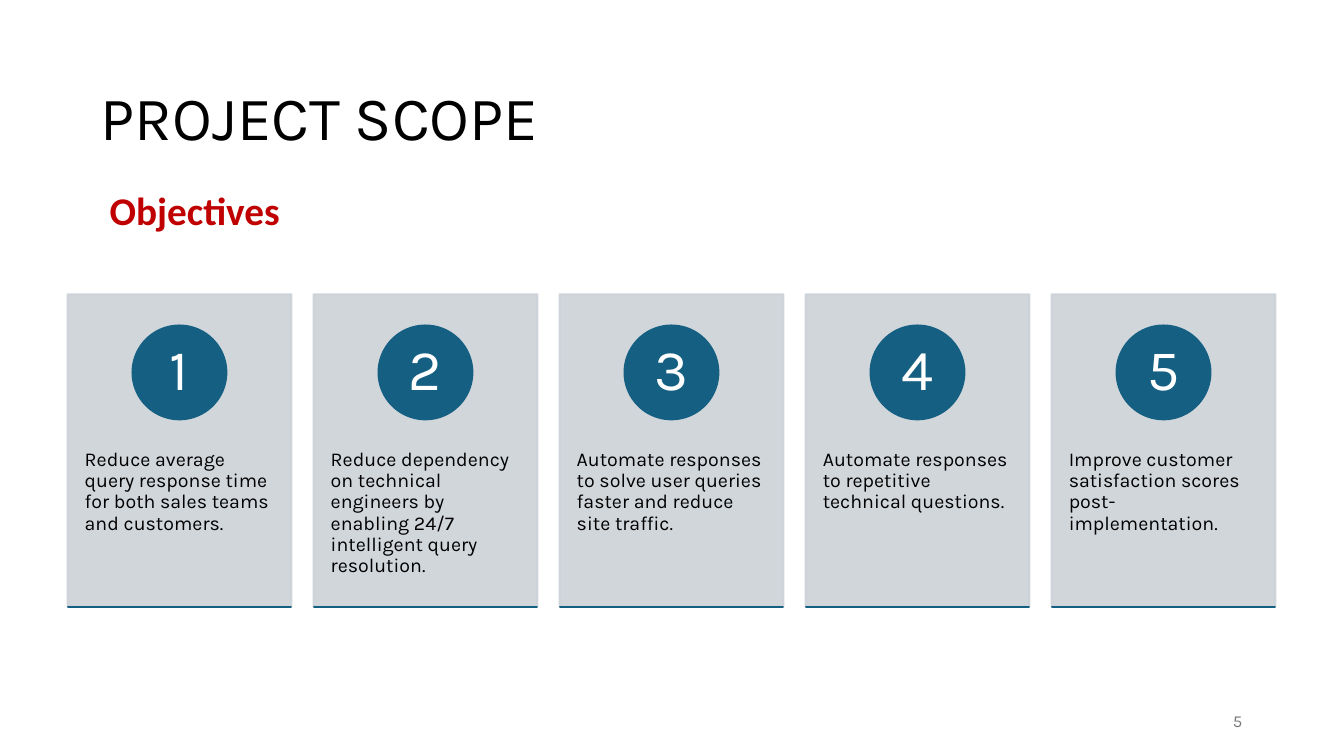
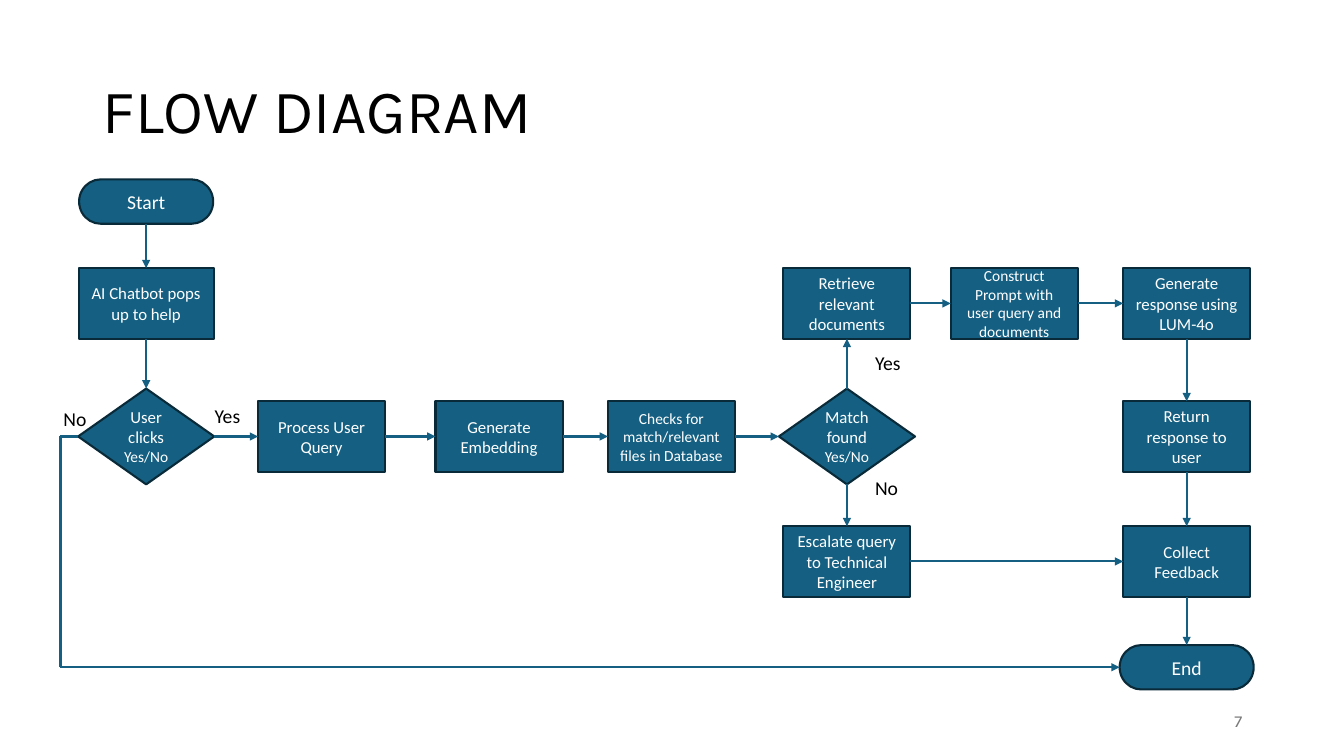
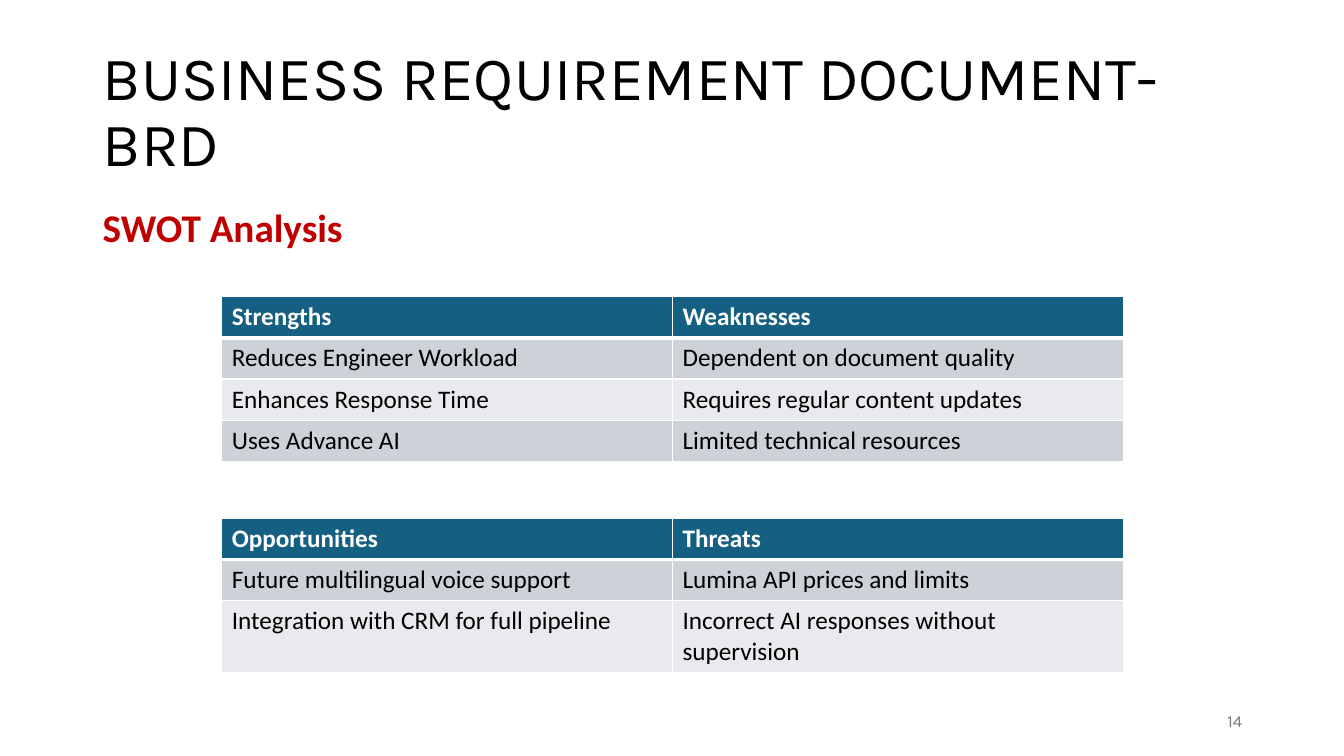
from lxml import etree
from pptx import Presentation
from pptx.dml.color import RGBColor
from pptx.enum.shapes import MSO_CONNECTOR, MSO_SHAPE
from pptx.enum.text import MSO_ANCHOR, MSO_AUTO_SIZE, PP_ALIGN
from pptx.oxml.ns import qn
from pptx.util import Inches, Pt

STRAIGHT = MSO_CONNECTOR.STRAIGHT
RECT, OVAL = MSO_SHAPE.RECTANGLE, MSO_SHAPE.OVAL
STEP = MSO_SHAPE.FLOWCHART_PROCESS
CHOICE = MSO_SHAPE.FLOWCHART_DECISION
TERM = MSO_SHAPE.FLOWCHART_TERMINATOR
TOP, MID = MSO_ANCHOR.TOP, MSO_ANCHOR.MIDDLE
LEFT, MIDST, RIGHT = PP_ALIGN.LEFT, PP_ALIGN.CENTER, PP_ALIGN.RIGHT

HEAD, BODY = "Karla", "Calibri"
BLUE, NAVY, RED, GREY = "156082", "092A39", "C00000", "797979"
MIST, PALE, WHITE, BLACK = "CCD2D8", "E8EAED", "FFFFFF", "000000"
WIDE, HIGH = 13.33, 7.5
rgb = RGBColor.from_string


def write(frame, lines, size, font=BODY, color=BLACK, bold=False,
          align=LEFT, anchor=TOP, lead=None):
    """Fill a text frame; each line is a string or a (string, size) pair."""
    frame.word_wrap = True
    frame.auto_size = MSO_AUTO_SIZE.NONE
    frame.vertical_anchor = anchor
    for i, line in enumerate(lines):
        text, points = line if isinstance(line, tuple) else (line, size)
        para = frame.paragraphs[0] if i == 0 else frame.add_paragraph()
        para.text = text
        para.alignment = align
        para.line_spacing = lead
        para.font.name = font
        para.font.size = Pt(points)
        para.font.bold = bold
        para.font.color.rgb = rgb(color)


def block(slide, kind, box, fill, edge):
    """Add a filled, outlined shape; box is left, top, width, height."""
    shape = slide.shapes.add_shape(kind, *map(Inches, box))
    shape.shadow.inherit = False
    shape.fill.solid()
    shape.fill.fore_color.rgb = rgb(fill)
    shape.line.color.rgb = rgb(edge)
    shape.line.width = Pt(1.5)
    return shape


deck = Presentation()
deck.slide_width, deck.slide_height = Inches(WIDE), Inches(HIGH)

# Shared title, red heading and page number
MAIN = (0.92, 0.4, 11.5, 1.45)
pages = [
    ("PROJECT SCOPE", (0.9, 0.82, 11.97, 1.24), TOP, "5",
     "Objectives", (0.99, 1.8)),
    ("FLOW DIAGRAM", MAIN, MID, "7", None, None),
    ("BUSINESS REQUIREMENT DOCUMENT-BRD", MAIN, MID, "14",
     "SWOT Analysis", (0.92, 1.97)),
]
slides = []
for name, box, anchor, page, topic, spot in pages:
    slide = deck.slides.add_slide(deck.slide_layouts[5])
    title = slide.shapes.title
    title.left, title.top, title.width, title.height = map(Inches, box)
    write(title.text_frame, [name], 44, HEAD, anchor=anchor, lead=0.9)
    if topic:
        label = slide.shapes.add_textbox(*map(Inches, (*spot, 4, 0.57)))
        write(label.text_frame, [topic], 28, color=RED, bold=True)
    foot = slide.shapes.add_textbox(*map(Inches, (9.42, 6.95, 3, 0.4)))
    write(foot.text_frame, [page], 12, HEAD, GREY, align=RIGHT, anchor=MID)
    slides.append(slide)
scope, flow, swot = slides

# Scope: five numbered cards
goals = [
    "Reduce average query response time for both sales teams and customers.",
    "Reduce dependency on technical engineers by enabling 24/7 intelligent "
    "query resolution.",
    "Automate responses to solve user queries faster and reduce site traffic.",
    "Automate responses to repetitive technical questions.",
    "Improve customer satisfaction scores post-implementation.",
]
CARD, TALL, PITCH, DISC = 2.22, 3.1, 2.44, 0.93
for i, goal in enumerate(goals):
    x, y = 0.67 + i * PITCH, 2.92
    card = block(scope, RECT, (x, y, CARD, TALL), MIST, MIST)
    for tint in card._element.spPr.iter(qn("a:srgbClr")):
        etree.SubElement(tint, qn("a:alpha"), val="90000")
    frame = card.text_frame
    frame.margin_left = frame.margin_right = Inches(0.17)
    frame.margin_top = Inches(1.54)
    write(frame, [goal], 14, HEAD, lead=0.9)
    disc = block(scope, OVAL, (x + (CARD - DISC) / 2, y + 0.31, DISC, DISC),
                 BLUE, BLUE)
    frame = disc.text_frame
    frame.margin_left = frame.margin_right = 0
    frame.margin_top = frame.margin_bottom = 0
    write(frame, [str(i + 1)], 41, HEAD, WHITE, align=MIDST, anchor=MID,
          lead=0.9)
    block(scope, RECT, (x, y + TALL, CARD, 0), BLUE, BLUE)

# Flow: nodes centred on a grid of columns and rows
cols = [1.45, 3.19, 4.95, 6.66, 8.4, 10.06, 11.77]
rows = [2, 3.01, 4.33, 5.57, 6.62]
sizes = {STEP: (1.26, 0.7), CHOICE: (1.35, 0.95), TERM: (1.33, 0.44)}
wider = {"chat": 1.34}
steps = [
    ("start", TERM, 0, 0, ["Start"], 14),
    ("chat", STEP, 0, 1, ["AI Chatbot pops up to help"], 12),
    ("click", CHOICE, 0, 2, ["User clicks", ("Yes/No", 11)], 12),
    ("query", STEP, 1, 2, ["Process User Query"], 12),
    ("embed", STEP, 2, 2, ["Generate Embedding"], 12),
    ("check", STEP, 3, 2, ["Checks for match/relevant files in Database"], 11),
    ("match", CHOICE, 4, 2, ["Match found", ("Yes/No", 11)], 12),
    ("fetch", STEP, 4, 1, ["Retrieve relevant documents"], 12),
    ("prompt", STEP, 5, 1,
     ["Construct Prompt with user query and documents"], 11),
    ("reply", STEP, 6, 1, ["Generate response using LUM-4o"], 12),
    ("send", STEP, 6, 2, ["Return response to user"], 12),
    ("staff", STEP, 4, 3, ["Escalate query to Technical Engineer"], 12),
    ("rate", STEP, 6, 3, ["Collect Feedback"], 12),
    ("end", TERM, 6, 4, ["End"], 14),
]
nodes = {}
for key, kind, col, row, lines, size in steps:
    w, h = sizes[kind]
    w = wider.get(key, w)
    box = (cols[col] - w / 2, rows[row] - h / 2, w, h)
    nodes[key] = block(flow, kind, box, BLUE, NAVY)
    write(nodes[key].text_frame, lines, size, color=WHITE, align=MIDST,
          anchor=MID)

# Connection sites run anticlockwise from the top
UP, WEST, DOWN, EAST = range(4)
chains = [
    (DOWN, UP, ["start", "chat", "click"]),
    (EAST, WEST, ["click", "query", "embed", "check", "match"]),
    (UP, DOWN, ["match", "fetch"]),
    (EAST, WEST, ["fetch", "prompt", "reply"]),
    (DOWN, UP, ["reply", "send", "rate", "end"]),
    (DOWN, UP, ["match", "staff"]),
    (EAST, WEST, ["staff", "rate"]),
]
wires = []
for out, into, keys in chains:
    for a, b in zip(keys, keys[1:]):
        wire = flow.shapes.add_connector(STRAIGHT, 0, 0, 0, 0)
        wire.begin_connect(nodes[a], out)
        wire.end_connect(nodes[b], into)
        wires.append((wire, True))

# The No branch runs round the lower left to the end
click, end = nodes["click"], nodes["end"]
side, mid, low = Inches(0.6), Inches(rows[2]), Inches(rows[4])
route = [(click.left, mid), (side, mid), (side, low), (end.left, low)]
for a, b in zip(route, route[1:]):
    wires.append((flow.shapes.add_connector(STRAIGHT, *a, *b), b == route[-1]))

for wire, arrow in wires:
    wire.line.color.rgb = rgb(BLUE)
    wire.line.width = Pt(1.5)
    if arrow:
        etree.SubElement(wire.line._ln, qn("a:tailEnd"), type="triangle")
    etree.SubElement(wire._element.spPr, qn("a:effectLst"))

for word, x, y in [("No", 0.53, 3.99), ("Yes", 2.03, 3.96),
                   ("Yes", 8.58, 3.43), ("No", 8.58, 4.67)]:
    label = flow.shapes.add_textbox(*map(Inches, (x, y, 0.55, 0.34)))
    write(label.text_frame, [word], 14)

# SWOT: two tables with white rules
grids = [
    (2.94, [
        ("Strengths", "Weaknesses"),
        ("Reduces Engineer Workload", "Dependent on document quality"),
        ("Enhances Response Time", "Requires regular content updates"),
        ("Uses Advance AI", "Limited technical resources"),
    ]),
    (5.14, [
        ("Opportunities", "Threats"),
        ("Future multilingual voice support", "Lumina API prices and limits"),
        ("Integration with CRM for full pipeline",
         "Incorrect AI responses without supervision"),
    ]),
]
for top, data in grids:
    box = (2.2, top, 8.94, 0.41 * len(data))
    table = swot.shapes.add_table(len(data), 2, *map(Inches, box)).table
    for r, texts in enumerate(data):
        for c, text in enumerate(texts):
            cell = table.cell(r, c)
            write(cell.text_frame, [text], 18,
                  color=BLACK if r else WHITE, bold=r == 0)
            props = cell._tc.get_or_add_tcPr()
            for edge in ("lnL", "lnR", "lnT", "lnB"):
                thick = (r, edge) in ((0, "lnB"), (1, "lnT"))
                rule = etree.SubElement(props, qn("a:" + edge),
                                        w=str(Pt(3 if thick else 1)))
                paint = etree.SubElement(rule, qn("a:solidFill"))
                etree.SubElement(paint, qn("a:srgbClr"), val=WHITE)
            cell.fill.solid()
            shade = BLUE if r == 0 else (PALE, MIST)[r % 2]
            cell.fill.fore_color.rgb = rgb(shade)

deck.save("out.pptx")
